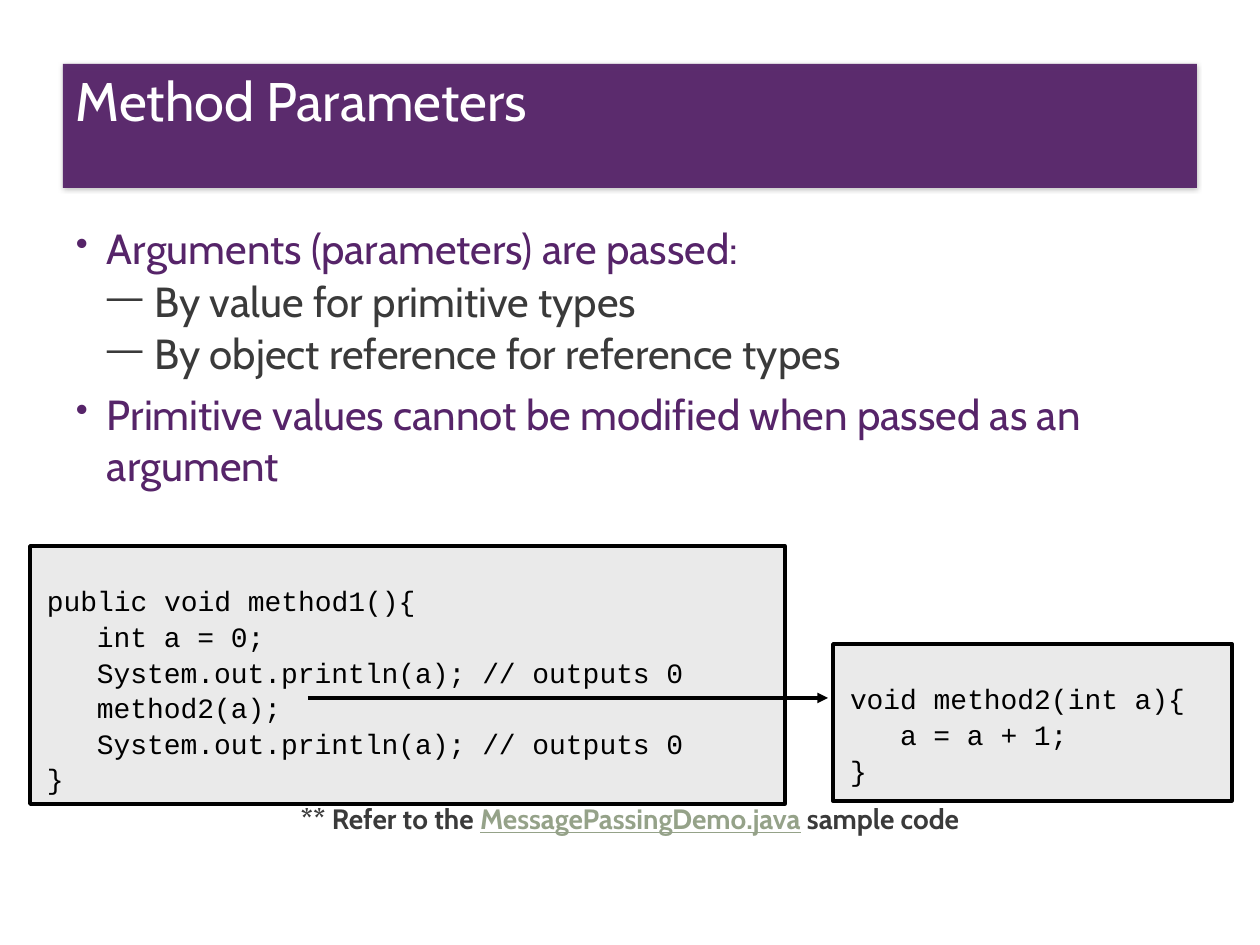
from lxml.etree import SubElement
from pptx import Presentation
from pptx.dml.color import RGBColor
from pptx.enum.shapes import MSO_CONNECTOR, MSO_SHAPE
from pptx.enum.text import MSO_ANCHOR, PP_ALIGN
from pptx.oxml.ns import qn
from pptx.util import Pt

PURPLE, DARK, GRAY, GREEN = "562469", "3A3A3A", "EAEAEA", "95A289"
BLACK, WHITE = "000000", "FFFFFF"
SANS, MONO = "Cabin", "Courier New"

TITLE = "Method Parameters"
# Level and text of each bullet
BULLETS = [
    (0, "Arguments (parameters) are passed:"),
    (1, "By value for primitive types"),
    (1, "By object reference for reference types"),
    (0, "Primitive values cannot be modified when passed as an argument"),
]
# Per level: sign, colour, left margin px, hanging px, space before pt
STYLES = [("•", PURPLE, 31, 31, 6), ("—", DARK, 79, 48, 1.2)]
# Box in px, then indent level and text of each code line
CODES = [
    ((30, 546, 755, 258), [
        (0, "public void method1(){"),
        (1, "int a = 0;"),
        (1, "System.out.println(a); // outputs 0"),
        (1, "method2(a);"),
        (1, "System.out.println(a); // outputs 0"),
        (0, "}"),
    ]),
    ((833, 644, 399, 157), [
        (0, "void method2(int a){"),
        (1, "a = a + 1;"),
        (0, "}"),
    ]),
]
TAB = 50  # three characters of code
NOTE = [("** Refer to the ", DARK, False),
        ("MessagePassingDemo.java", GREEN, True),
        (" sample code", DARK, False)]


def px(n):
    return round(n * 914400 / 126)


def rgb(code):
    return RGBColor.from_string(code)


def add(parent, tag, **attrs):
    return SubElement(parent, qn(tag), {k: str(v) for k, v in attrs.items()})


def style(font, name, size, color):
    font.name, font.size = name, Pt(size)
    font.color.rgb = rgb(color)


def frame(shape, left, top, right, bottom):
    tf = shape.text_frame
    tf.word_wrap, tf.vertical_anchor = True, MSO_ANCHOR.TOP
    tf.margin_left, tf.margin_top = px(left), px(top)
    tf.margin_right, tf.margin_bottom = px(right), px(bottom)
    return tf


def lines(tf, items):
    """Yield a left-aligned paragraph and level for each text item."""
    for i, (level, text) in enumerate(items):
        para = tf.add_paragraph() if i else tf.paragraphs[0]
        para.text, para.alignment = text, PP_ALIGN.LEFT
        yield para, level


def rect(shapes, box, color):
    shape = shapes.add_shape(MSO_SHAPE.RECTANGLE, *map(px, box))
    shape.shadow.inherit = False
    shape.fill.solid()
    shape.fill.fore_color.rgb = rgb(color)
    return shape


def main():
    prs = Presentation()
    prs.slide_width, prs.slide_height = px(1260), px(945)
    shapes = prs.slides.add_slide(prs.slide_layouts[6]).shapes

    # Code boxes
    for box, code in CODES:
        shape = rect(shapes, box, GRAY)
        shape.line.color.rgb, shape.line.width = rgb(BLACK), Pt(2)
        for para, level in lines(frame(shape, 17, 36, 0, 0), code):
            style(para.font, MONO, 16, BLACK)
            para.line_spacing = 1.06
            para._p.get_or_add_pPr().set("marL", str(px(level * TAB)))

    # Call arrow
    arrow = shapes.add_connector(MSO_CONNECTOR.STRAIGHT, px(308), px(698),
                                 px(828), px(698))
    arrow.line.color.rgb, arrow.line.width = rgb(BLACK), Pt(2)
    add(arrow.line._get_or_add_ln(), "a:tailEnd", type="triangle")
    add(arrow._element.spPr, "a:effectLst")

    # Title band, slightly transparent with a soft shadow
    band = rect(shapes, (63, 64, 1134, 124), PURPLE)
    band.line.fill.background()
    props = band._element.spPr
    add(props.find(".//" + qn("a:srgbClr")), "a:alpha", val=95000)
    glow = add(props.find(qn("a:effectLst")), "a:outerShdw", blurRad=px(5),
               dist=px(1), dir=5400000, algn="ctr", rotWithShape=0)
    add(add(glow, "a:srgbClr", val=BLACK), "a:alpha", val=25000)
    for para, _ in lines(frame(band, 13, 0, 13, 6), [(0, TITLE)]):
        style(para.font, SANS, 31, WHITE)
        para.line_spacing = 1.05

    # Bullets
    body = shapes.add_textbox(px(63), px(217), px(1134), px(300))
    for para, level in lines(frame(body, 13, 6, 13, 6), BULLETS):
        sign, color, left, hang, gap = STYLES[level]
        style(para.font, SANS, 24, color)
        para.space_before = Pt(gap)
        ppr = para._p.get_or_add_pPr()
        ppr.set("marL", str(px(left)))
        ppr.set("indent", str(-px(hang)))
        mark = [add(ppr, "a:buSzPct", val=85000),
                add(ppr, "a:buChar", char=sign)]
        for tag in reversed(mark):  # bullets come before the default font
            ppr.insert(ppr.index(ppr.find(qn("a:defRPr"))), tag)
        ppr.insert(ppr.index(mark[1]), mark[0])

    # Note
    note = shapes.add_textbox(px(63), px(802), px(1134), px(36))
    para = frame(note, 13, 0, 13, 0).paragraphs[0]
    para.alignment = PP_ALIGN.CENTER
    for text, color, under in NOTE:
        run = para.add_run()
        run.text = text
        style(run.font, SANS, 16, color)
        run.font.bold, run.font.underline = True, under

    prs.save("out.pptx")


if __name__ == "__main__":
    main()
